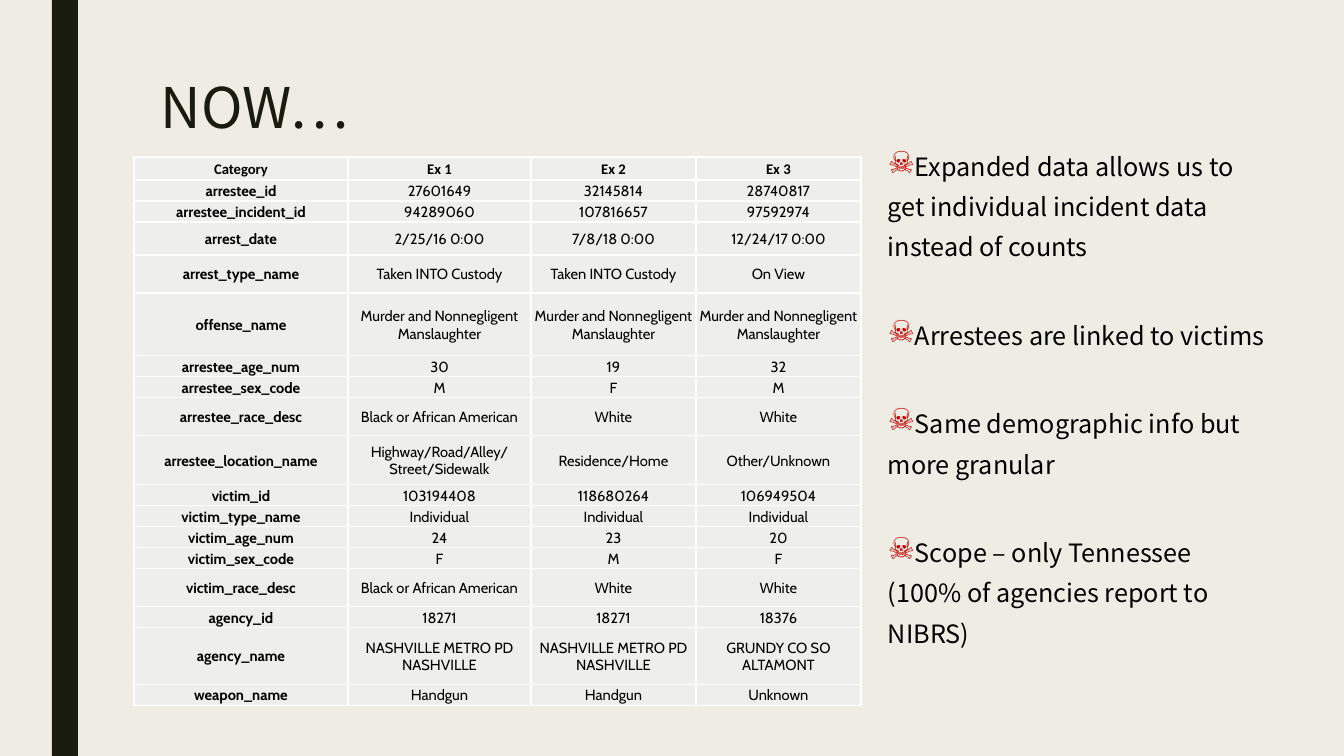
from dataclasses import dataclass

from lxml import etree
from pptx import Presentation
from pptx.dml.color import RGBColor
from pptx.enum.shapes import MSO_SHAPE
from pptx.enum.text import MSO_ANCHOR, PP_ALIGN
from pptx.oxml.ns import qn
from pptx.util import Emu, Pt

RECTANGLE = MSO_SHAPE.RECTANGLE
TOP, MIDDLE = MSO_ANCHOR.TOP, MSO_ANCHOR.MIDDLE
LEFT, CENTER = PP_ALIGN.LEFT, PP_ALIGN.CENTER
EMU_PER_PX = 914400 / 100.8


@dataclass(frozen=True)
class Theme:
    background: str = "EFEDE3"
    dark: str = "191B0E"
    text: str = "000000"
    cell: str = "EEEEED"
    border: str = "FFFFFF"
    bullet: str = "C00000"
    title_font: str = "Noto Sans CJK JP"
    body_font: str = "Noto Sans CJK KR"
    header_font: str = "Calibri"
    table_font: str = "Cabin"
    title_size: float = 40
    body_size: float = 18
    table_size: float = 10.5


THEME = Theme()

COLUMN_WIDTHS = [214, 183, 165, 165]
OFFENSE = "Murder and Nonnegligent Manslaughter"
NASHVILLE = "NASHVILLE METRO PD NASHVILLE"
# Row height, category, three examples
RECORDS = [
    (23, "Category", "Ex 1", "Ex 2", "Ex 3"),
    (21, "arrestee_id", "27601649", "32145814", "28740817"),
    (21, "arrestee_incident_id", "94289060", "107816657", "97592974"),
    (33, "arrest_date", "2/25/16 0:00", "7/8/18 0:00", "12/24/17 0:00"),
    (38, "arrest_type_name", "Taken INTO Custody", "Taken INTO Custody", "On View"),
    (63, "offense_name", OFFENSE, OFFENSE, OFFENSE),
    (21, "arrestee_age_num", "30", "19", "32"),
    (21, "arrestee_sex_code", "M", "F", "M"),
    (38, "arrestee_race_desc", "Black or African American", "White", "White"),
    (49, "arrestee_location_name", "Highway/Road/Alley/Street/Sidewalk",
     "Residence/Home", "Other/Unknown"),
    (21, "victim_id", "103194408", "118680264", "106949504"),
    (21, "victim_type_name", "Individual", "Individual", "Individual"),
    (21, "victim_age_num", "24", "23", "20"),
    (21, "victim_sex_code", "F", "M", "F"),
    (38, "victim_race_desc", "Black or African American", "White", "White"),
    (21, "agency_id", "18271", "18271", "18376"),
    (57, "agency_name", NASHVILLE, NASHVILLE, "GRUNDY CO SO ALTAMONT"),
    (21, "weapon_name", "Handgun", "Handgun", "Unknown"),
]
POINTS = [
    "Expanded data allows us to get individual incident data instead of counts",
    "Arrestees are linked to victims",
    "Same demographic info but more granular",
    "Scope – only Tennessee (100% of agencies report to NIBRS)",
]


def px(length):
    return Emu(round(length * EMU_PER_PX))


def rgb(color):
    return RGBColor.from_string(color)


def write(paragraph, text, *, font, size, color=THEME.text, bold=False,
          align=LEFT, line_spacing=None, space_after=0):
    paragraph.alignment = align
    paragraph.space_after = Pt(space_after)
    if line_spacing:
        paragraph.line_spacing = line_spacing
    run = paragraph.add_run()
    run.text = text
    run.font.name = font
    run.font.size = Pt(size)
    run.font.bold = bold
    run.font.color.rgb = rgb(color)


def add_text_frame(slide, left, top, width, height):
    frame = slide.shapes.add_textbox(px(left), px(top), px(width), px(height)).text_frame
    frame.word_wrap = True
    frame.vertical_anchor = TOP
    return frame


def add_side_bar(slide):
    bar = slide.shapes.add_shape(RECTANGLE, px(52), 0, px(26), px(756))
    bar.shadow.inherit = False
    bar.fill.solid()
    bar.fill.fore_color.rgb = rgb(THEME.dark)
    bar.line.fill.background()


def add_bullet(paragraph, symbol):
    properties = paragraph._p.get_or_add_pPr()
    properties.set("marL", "0")
    properties.set("indent", "0")
    color = etree.SubElement(properties, qn("a:buClr"))
    etree.SubElement(color, qn("a:srgbClr"), val=THEME.bullet)
    etree.SubElement(properties, qn("a:buSzPct"), val="120000")
    etree.SubElement(properties, qn("a:buChar"), char=symbol)


def add_points(slide):
    frame = add_text_frame(slide, 878, 136, 397, 735)
    for index, point in enumerate(POINTS):
        paragraph = frame.add_paragraph() if index else frame.paragraphs[0]
        write(paragraph, point, font=THEME.body_font, size=THEME.body_size,
              line_spacing=1.33, space_after=34.6)
        add_bullet(paragraph, "☠")


def style_cell(cell):
    cell.fill.solid()
    cell.fill.fore_color.rgb = rgb(THEME.cell)
    cell.vertical_anchor = MIDDLE
    cell.margin_left = cell.margin_right = cell.margin_top = px(1)
    cell.margin_bottom = 0
    # Borders come before the fill in the cell properties
    properties = cell._tc.get_or_add_tcPr()
    for position, side in enumerate(("a:lnL", "a:lnR", "a:lnT", "a:lnB")):
        border = etree.Element(qn(side), w=str(Pt(1)))
        fill = etree.SubElement(border, qn("a:solidFill"))
        etree.SubElement(fill, qn("a:srgbClr"), val=THEME.border)
        properties.insert(position, border)


def add_records(slide):
    height = sum(record[0] for record in RECORDS)
    table = slide.shapes.add_table(
        len(RECORDS), len(COLUMN_WIDTHS), px(134), px(157),
        px(sum(COLUMN_WIDTHS)), px(height)).table
    table.horz_banding = False
    for column, width in zip(table.columns, COLUMN_WIDTHS):
        column.width = px(width)
    for row_index, (row_height, *values) in enumerate(RECORDS):
        table.rows[row_index].height = px(row_height)
        is_header = row_index == 0
        for column_index, value in enumerate(values):
            cell = table.cell(row_index, column_index)
            style_cell(cell)
            write(cell.text_frame.paragraphs[0], value, align=CENTER,
                  font=THEME.header_font if is_header else THEME.table_font,
                  size=THEME.table_size, bold=is_header or column_index == 0)


def main():
    presentation = Presentation()
    presentation.slide_width, presentation.slide_height = px(1344), px(756)
    slide = presentation.slides.add_slide(presentation.slide_layouts[6])
    slide.background.fill.solid()
    slide.background.fill.fore_color.rgb = rgb(THEME.background)

    # Side bar and title
    add_side_bar(slide)
    title = add_text_frame(slide, 151, 76, 1058, 163)
    write(title.paragraphs[0], "NOW…", font=THEME.title_font,
          size=THEME.title_size, color=THEME.dark, line_spacing=0.89)

    # Incident records and takeaways
    add_records(slide)
    add_points(slide)

    presentation.save("out.pptx")


if __name__ == "__main__":
    main()
